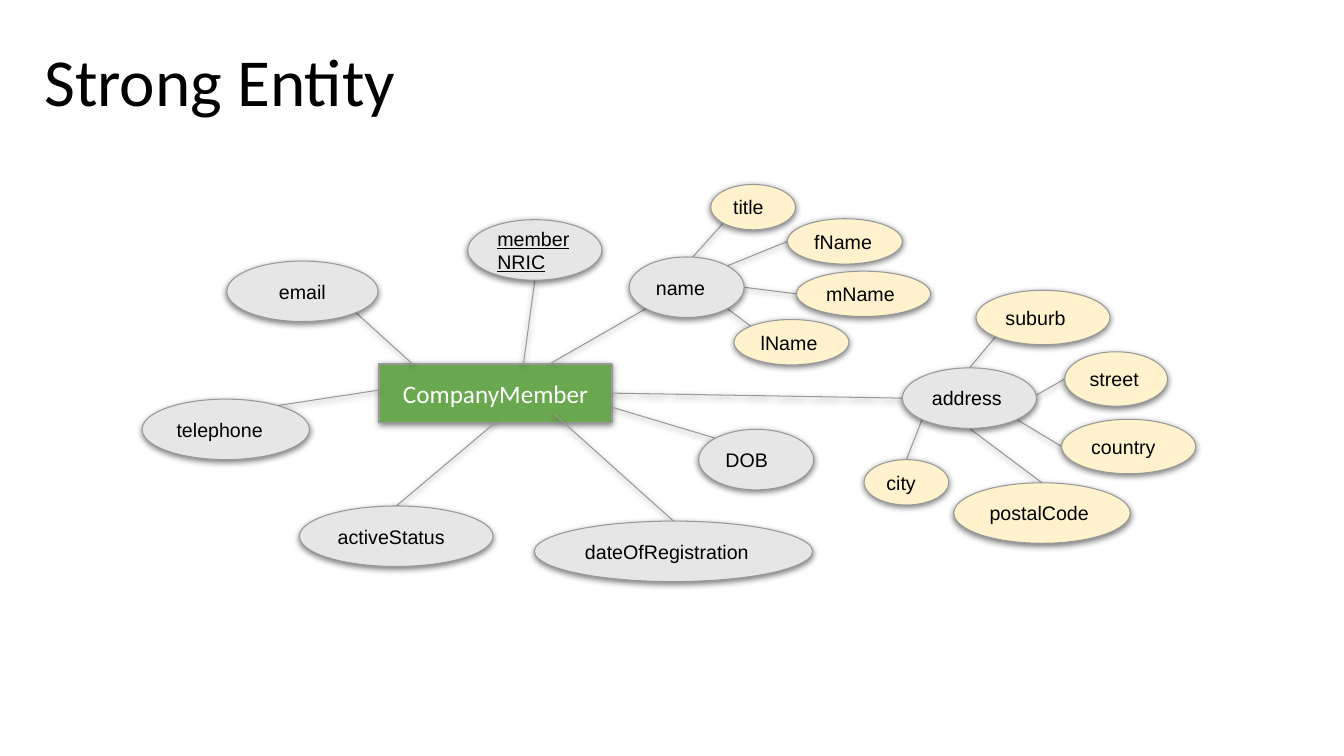
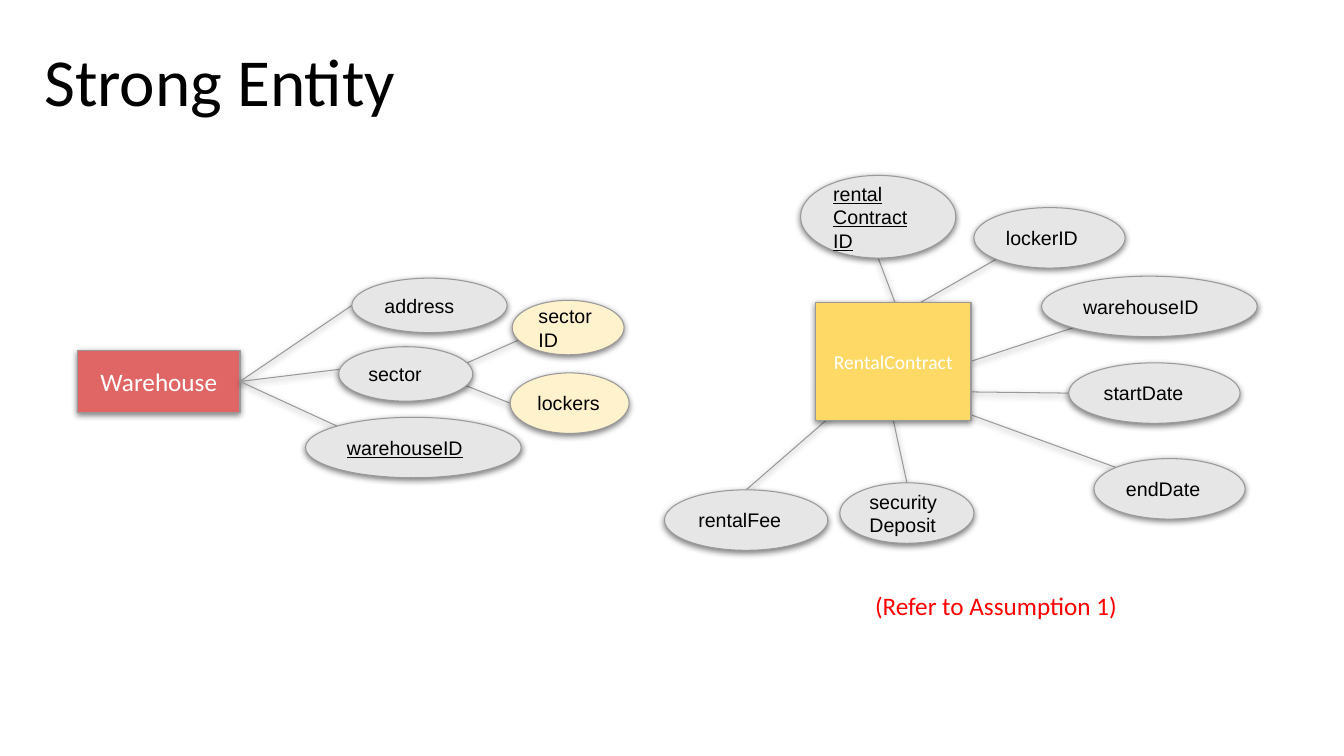
import dataclasses
import math

import pptx
import pptx.dml.color
import pptx.enum.shapes
import pptx.enum.text
import pptx.oxml
import pptx.oxml.ns
import pptx.util

RGBColor = pptx.dml.color.RGBColor
Shapes = pptx.enum.shapes.MSO_SHAPE
Align = pptx.enum.text.PP_ALIGN
Anchor = pptx.enum.text.MSO_ANCHOR

BLACK = RGBColor(0x00, 0x00, 0x00)
WHITE = RGBColor(0xFF, 0xFF, 0xFF)
RED = RGBColor(0xFF, 0x00, 0x00)
OUTLINE = RGBColor(0x99, 0x99, 0x99)
GREY = RGBColor(0xE7, 0xE6, 0xE6)
CREAM = RGBColor(0xFF, 0xF2, 0xCC)
GREEN = RGBColor(0x6A, 0xA8, 0x4F)
CORAL = RGBColor(0xE0, 0x66, 0x66)
YELLOW = RGBColor(0xFF, 0xD9, 0x66)

EMU_PER_PX = 9144
SLIDE_SIZE = (1333, 750)
TITLE_BOX = (34, 29, 555, 112)
TITLE_ONLY_LAYOUT = 5
DIAGONAL = math.sqrt(0.5)
SITES = {
    "top": (0, -1), "bottom": (0, 1), "left": (-1, 0), "right": (1, 0),
    "top left": (-DIAGONAL, -DIAGONAL), "top right": (DIAGONAL, -DIAGONAL),
    "bottom left": (-DIAGONAL, DIAGONAL), "bottom right": (DIAGONAL, DIAGONAL),
}
SHADOW = (
    f'<a:effectLst {pptx.oxml.ns.nsdecls("a")}>'
    '<a:outerShdw blurRad="57150" dist="19050" dir="5400000" algn="bl" rotWithShape="0">'
    '<a:srgbClr val="000000"><a:alpha val="50000"/></a:srgbClr>'
    '</a:outerShdw></a:effectLst>'
)


@dataclasses.dataclass
class Attribute:
    """An oval joined from a point on its parent to a point on itself."""
    text: str
    box: tuple
    start: object
    end: object
    underline: bool = False
    components: tuple = ()


@dataclasses.dataclass
class Entity:
    """A rectangle with its attributes."""
    text: str
    box: tuple
    fill: RGBColor
    attributes: tuple
    size: int = 18
    in_front: bool = False


MEMBER = Entity("CompanyMember", (236, 181, 231, 58), GREEN, (
    Attribute("member\nNRIC", (324, 38, 133, 60), (143, 1), "bottom", underline=True),
    Attribute("email", (85, 79, 150, 60), (33, 0), "bottom right"),
    Attribute("telephone", (1, 216, 166, 60), (0, 26), (130, 7)),
    Attribute("activeStatus", (157, 322, 192, 60), "bottom", "top"),
    Attribute("dateOfRegistration", (390, 337, 276, 60), (174, 50), "top"),
    Attribute("DOB", (553, 246, 114, 60), (231, 43), "top left"),
    Attribute("name", (484, 75, 114, 60), (171, -1), "bottom left", components=(
        Attribute("title", (565, 3, 84, 45), (63, 0), "bottom left"),
        Attribute("fName", (641, 37, 114, 45), "top right", "left"),
        Attribute("mName", (650, 89, 133, 45), "right", "left"),
        Attribute("lName", (588, 137, 114, 45), "bottom right", "top left"),
    )),
    Attribute("address", (755, 185, 133, 60), (231, 29), "left", components=(
        Attribute("suburb", (828, 108, 133, 54), "top", "bottom left"),
        Attribute("street", (916, 169, 102, 54), (131, 28), "left"),
        Attribute("country", (913, 236, 133, 54), "bottom right", "left"),
        Attribute("postalCode", (806, 299, 175, 60), "bottom", "top"),
        Attribute("city", (717, 276, 84, 45), "bottom left", "top"),
    )),
))

WAREHOUSE = Entity("Warehouse", (0, 72, 161, 61), CORAL, (
    Attribute("address", (272, 0, 154, 54), "right", "left"),
    Attribute("sector", (259, 68, 133, 54), "right", (4, 22), components=(
        Attribute("sector\nID", (431, 22, 111, 54), (116, 21), (14, 36)),
        Attribute("lockers", (429, 94, 118, 60), (122, 37), "left"),
    )),
    Attribute("warehouseID", (226, 138, 214, 60), "right", "top left", underline=True),
))

CONTRACT = Entity("RentalContract", (150, 126, 154, 117), YELLOW, (
    Attribute("rental Contract ID", (135, 0, 154, 82), (93, 38), "bottom", underline=True),
    Attribute("lockerID", (307, 32, 150, 60), (85, 11), "bottom left"),
    Attribute("warehouseID", (374, 100, 214, 60), "right", "bottom left"),
    Attribute("startDate", (401, 186, 170, 60), (4, 87), "left"),
    Attribute("endDate", (426, 281, 150, 60), (136, 105), "top left"),
    Attribute("securityDeposit", (174, 305, 133, 60), "bottom", "top"),
    Attribute("rentalFee", (0, 312, 162, 60), (15, 113), "top"),
), size=14, in_front=True)


def px(length):
    """Turn px into EMU."""
    return pptx.util.Emu(round(length * EMU_PER_PX))


def place(origin, box):
    """Return a box in EMU, moved by the origin of its region."""
    left, top, width, height = box
    return px(origin[0] + left), px(origin[1] + top), px(width), px(height)


def write_text(shape, text, size=14, font="Arial", color=BLACK, underline=None,
               align=Align.LEFT, anchor=Anchor.TOP, inset=10):
    """Write text into a shape in one format."""
    frame = shape.text_frame
    frame.text = text
    frame.word_wrap = True
    frame.auto_size = pptx.enum.text.MSO_AUTO_SIZE.NONE
    frame.vertical_anchor = anchor
    frame.margin_left = frame.margin_right = px(10)
    frame.margin_top = frame.margin_bottom = px(inset)
    for paragraph in frame.paragraphs:
        paragraph.alignment = align
        for run in paragraph.runs:
            run.font.size = pptx.util.Pt(size)
            run.font.name = font
            run.font.color.rgb = color
            run.font.underline = underline


def outline(shape, width):
    """Give a shape or connector the common line and shadow."""
    shape.line.color.rgb = OUTLINE
    shape.line.width = pptx.util.Pt(width)
    shape._element.spPr.append(pptx.oxml.parse_xml(SHADOW))


def add_node(slide, kind, origin, box, fill, line_width, text, **text_format):
    """Add a filled, labelled shape."""
    shape = slide.shapes.add_shape(kind, *place(origin, box))
    shape.fill.solid()
    shape.fill.fore_color.rgb = fill
    outline(shape, line_width)
    write_text(shape, text, anchor=Anchor.MIDDLE, **text_format)


def add_entity(slide, origin, entity):
    """Add the rectangle of an entity."""
    add_node(slide, Shapes.RECTANGLE, origin, entity.box, entity.fill, 1, entity.text,
             size=entity.size, font="Calibri", color=WHITE, align=Align.CENTER, inset=5)


def site_point(origin, box, site):
    """Find a named site, or an offset from the corner, of a box."""
    left, top, width, height = box
    if site in SITES:
        across, down = SITES[site]
        offset = (width * (1 + across) / 2, height * (1 + down) / 2)
    else:
        offset = site
    return px(origin[0] + left + offset[0]), px(origin[1] + top + offset[1])


def add_links(slide, origin, parent_box, attributes):
    """Join a parent to its attributes, and those to their components."""
    for attribute in attributes:
        connector = slide.shapes.add_connector(
            pptx.enum.shapes.MSO_CONNECTOR.STRAIGHT,
            *site_point(origin, parent_box, attribute.start),
            *site_point(origin, attribute.box, attribute.end))
        outline(connector, 0.75)
        add_links(slide, origin, attribute.box, attribute.components)


def add_ovals(slide, origin, attributes, fill=GREY):
    """Add the ovals of attributes and of their components."""
    for attribute in attributes:
        align = Align.CENTER if attribute.text == "email" else Align.LEFT
        add_node(slide, Shapes.OVAL, origin, attribute.box, fill, 0.75, attribute.text,
                 underline=attribute.underline or None, align=align)
        add_ovals(slide, origin, attribute.components, CREAM)


def add_diagram(slide, origin, entity):
    """Draw an entity and its attributes from the given corner."""
    if not entity.in_front:
        add_entity(slide, origin, entity)
    add_links(slide, origin, entity.box, entity.attributes)
    add_ovals(slide, origin, entity.attributes)
    if entity.in_front:
        add_entity(slide, origin, entity)


def add_contract(slide, origin):
    """Draw the contract diagram with its note."""
    add_diagram(slide, origin, CONTRACT)
    note = slide.shapes.add_textbox(*place(origin, (199, 402, 322, 60)))
    write_text(note, "(Refer to Assumption 1)", size=18, font="Calibri", color=RED)


def add_entity_slide(presentation):
    """Add a slide with the common title."""
    slide = presentation.slides.add_slide(presentation.slide_layouts[TITLE_ONLY_LAYOUT])
    title = slide.shapes.title
    title.left, title.top, title.width, title.height = place((0, 0), TITLE_BOX)
    write_text(title, "Strong Entity", size=48, font="Calibri")
    return slide


def main():
    """Build and save the presentation."""
    presentation = pptx.Presentation()
    presentation.slide_width, presentation.slide_height = map(px, SLIDE_SIZE)
    add_diagram(add_entity_slide(presentation), (140, 180), MEMBER)
    slide = add_entity_slide(presentation)
    add_diagram(slide, (77, 276), WAREHOUSE)
    add_contract(slide, (659, 174))
    presentation.save("out.pptx")


if __name__ == "__main__":
    main()
